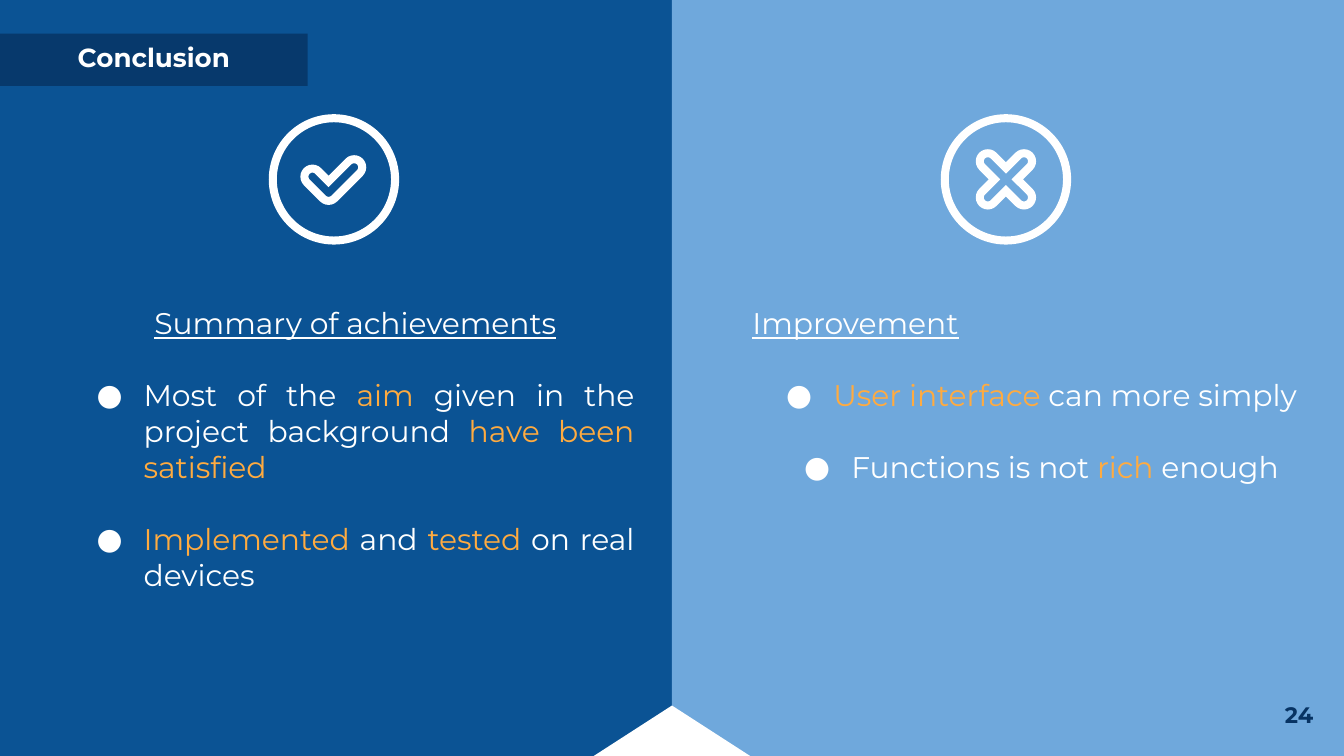
from dataclasses import dataclass
from math import cos, radians, sin, sqrt

from lxml import etree
from pptx import Presentation
from pptx import util as u
from pptx.dml.color import RGBColor
from pptx.enum import shapes, text
from pptx.oxml import ns


@dataclass(frozen=True)
class Theme:
    """Colours, font and type sizes of the slide."""
    dark: str = "0B5394"
    light: str = "6FA8DC"
    navy: str = "073363"
    white: str = "FFFFFF"
    accent: str = "FFAB40"
    font: str = "Montserrat"
    body: float = 16
    title: float = 14
    number: float = 12
    gap: float = 19.4


T = Theme()
A = text.PP_ALIGN
BOX = shapes.MSO_SHAPE.RECTANGLE
ICON = 0.97
STROKE = 0.06
OUTER = 0.09

CHECK = [(-0.16, -0.02, 135, 315), (-0.04, 0.1, 270, None),
         (0.15, -0.09, 225, 405), (-0.04, 0.1, 45, 135)]
CROSS = [node for d in (225, 315, 45, 135) for node in (
    (0.19 * cos(radians(d)), 0.19 * sin(radians(d)), d - 90, d + 90),
    (0, 0, d + 45, None))]


def sub(parent, tag, **attrs):
    """Append a DrawingML child element."""
    return etree.SubElement(parent, ns.qn(tag), attrs)


def paint(sp, color):
    """Give a shape a plain fill without line or shadow."""
    sp.shadow.inherit = False
    sp.fill.solid()
    sp.fill.fore_color.rgb = RGBColor.from_string(color)
    sp.line.fill.background()
    return sp


def add_block(parent, kind, box, color):
    """Place a filled preset shape in the box."""
    return paint(parent.add_shape(kind, *map(u.Inches, box)), color)


def setup(sp, anchor):
    """Prepare a text frame with even insets."""
    tf = sp.text_frame
    tf.word_wrap = True
    tf.vertical_anchor = anchor
    tf.margin_left = tf.margin_right = tf.margin_top = tf.margin_bottom = u.Inches(0.1)
    return tf


def add_run(p, words, size, color, bold=False, underline=False):
    """Add one styled run."""
    r = p.add_run()
    r.text = words
    f = r.font
    f.name, f.size, f.bold, f.underline = T.font, u.Pt(size), bold, underline
    f.color.rgb = RGBColor.from_string(color)


def add_bullet(p):
    """Give a paragraph a white hanging bullet."""
    pPr = p._p.get_or_add_pPr()
    pPr.set("marL", str(u.Inches(0.5)))
    pPr.set("indent", str(u.Inches(-0.35)))
    sub(sub(pPr, "a:buClr"), "a:srgbClr", val=T.white)
    sub(pPr, "a:buFont", typeface=T.font)
    sub(pPr, "a:buChar", char="●")


def contour(nodes, cx, cy, radius):
    """Trace rounded ends and inner corners at a distance from the nodes."""
    points = []
    for x, y, start, end in nodes:
        reach = radius * sqrt(2) if end is None else radius
        angles = [start] if end is None else range(start, end + 1, 15)
        points += [(u.Inches(cx + x + reach * cos(radians(a))),
                    u.Inches(cy + y + reach * sin(radians(a)))) for a in angles]
    return points


def add_icon(s, left, top, nodes):
    """Draw a ringed, hollow glyph as a group."""
    group = s.shapes.add_group_shape().shapes
    ring = add_block(group, shapes.MSO_SHAPE.DONUT, (left, top, ICON, ICON), T.white)
    ring.adjustments[0] = STROKE / ICON
    cx, cy = left + ICON / 2, top + ICON / 2
    outer = contour(nodes, cx, cy, OUTER)
    inner = contour(nodes, cx, cy, OUTER - STROKE)
    builder = group.build_freeform(*outer[0], scale=1.0)
    builder.add_line_segments(outer[1:], close=True)
    builder.move_to(*inner[0])
    builder.add_line_segments(inner[1:], close=True)
    paint(builder.convert_to_shape(), T.white)


def add_points(s, box, heading, heading_align, items, item_align):
    """Write an underlined heading and its bulleted points."""
    tf = setup(s.shapes.add_textbox(*map(u.Inches, box)), text.MSO_ANCHOR.TOP)
    p = tf.paragraphs[0]
    p.alignment = heading_align
    add_run(p, heading, T.body, T.white, underline=True)
    for item in items:
        p = tf.add_paragraph()
        add_bullet(p)
        p.alignment = item_align
        p.space_before = u.Pt(T.gap)
        for words, color in item:
            add_run(p, words, T.body, color)


def add_half(s, box, color, nodes, text_left, *points):
    """Build one half: panel, icon and text."""
    left, top, width, height = box
    add_block(s.shapes, BOX, box, color)
    add_icon(s, left + 2, top + 0.87, nodes)
    add_points(s, (left + text_left, top + 2.19, 4.35, 2.72), *points)


def add_title(s, box, words):
    """Place the translucent title tab."""
    sp = add_block(s.shapes, BOX, box, T.navy)
    color = sp._element.spPr.find(".//" + ns.qn("a:srgbClr"))
    sub(color, "a:alpha", val="80000")
    p = setup(sp, text.MSO_ANCHOR.BOTTOM).paragraphs[0]
    p.alignment = A.CENTER
    add_run(p, words, T.title, T.white, bold=True)


def add_footer(s, box, number):
    """Place the bottom notch and the slide number."""
    left, top, width, height = box
    add_block(s.shapes, shapes.MSO_SHAPE.ISOSCELES_TRIANGLE,
              (left + width / 2 - 0.62, top + 0.15, 1.24, 0.4), T.white)
    sp = s.shapes.add_textbox(*map(u.Inches, (left + width - 0.73, top, 0.6, 0.43)))
    p = setup(sp, text.MSO_ANCHOR.MIDDLE).paragraphs[0]
    p.alignment = A.RIGHT
    add_run(p, number, T.number, T.navy, bold=True)


def main():
    """Build and save the conclusion slide."""
    prs = Presentation()
    prs.slide_width, prs.slide_height = u.Inches(10), u.Inches(10 * 9 / 16)
    s = prs.slides.add_slide(prs.slide_layouts[6])
    achievements = [
        [("Most of the ", T.white), ("aim", T.accent),
         (" given in the project background ", T.white),
         ("have been satisfied", T.accent)],
        [("Implemented", T.accent), (" and ", T.white),
         ("tested", T.accent), (" on real devices", T.white)],
    ]
    improvements = [
        [("User interface", T.accent), (" can more simply", T.white)],
        [("Functions is not ", T.white), ("rich ", T.accent), ("enough", T.white)],
    ]
    add_half(s, (0, -0.02, 5, 5.67), T.dark, CHECK, 0.47,
             "Summary of achievements", A.CENTER, achievements, A.JUSTIFY)
    add_half(s, (5, -0.02, 5, 5.67), T.light, CROSS, 0.5,
             "Improvement", A.LEFT, improvements, A.CENTER)
    add_footer(s, (0, 5.1, 10, 0.52), "24")
    add_title(s, (0, 0.25, 2.29, 0.39), "Conclusion")
    prs.save("out.pptx")


if __name__ == "__main__":
    main()
